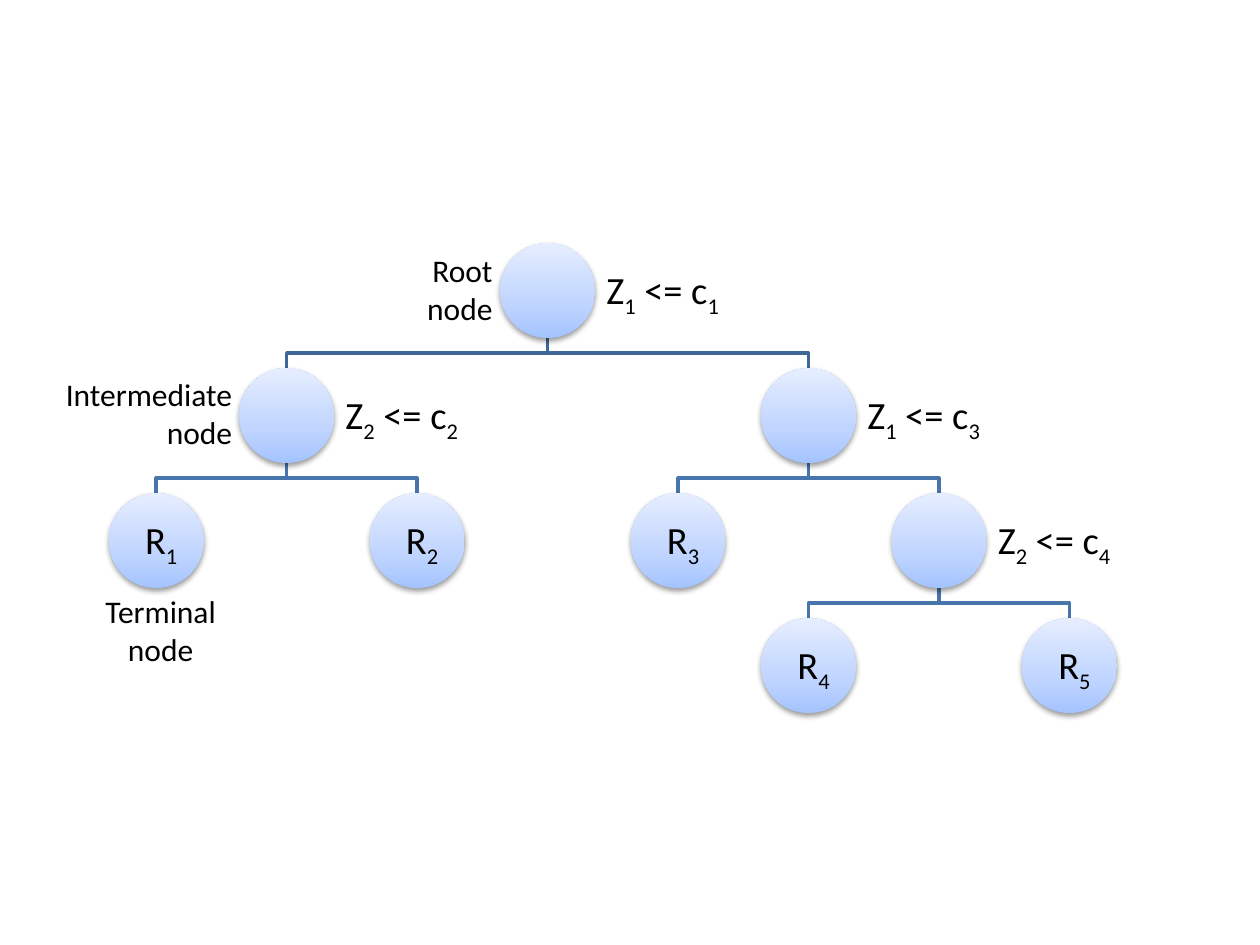
from copy import deepcopy
from dataclasses import dataclass
from itertools import groupby

from lxml.etree import SubElement
from pptx import Presentation
from pptx.dml.color import RGBColor as Rgb
from pptx.enum.shapes import MSO_SHAPE as Kind
from pptx.enum.text import MSO_ANCHOR as Anchor, MSO_AUTO_SIZE as Fit, PP_ALIGN as Align
from pptx.oxml.ns import qn
from pptx.util import Cm, Pt


@dataclass
class Theme:
    font: str = "Calibri"
    ink: str = "000000"
    rule: int = 18
    note: int = 18
    test: int = 22
    top_edge: str = "3F6797"
    edge: str = "4875AC"
    stroke: float = 2
    ball: tuple = ((0, "A4C4FF"), (0.35, "BFD4FF"), (1, "E6EEFF"))


class Board:
    def __init__(self, slide, theme):
        self.slide, self.theme = slide, theme

    def circle(self, x, y, size):
        """Draw a shaded circle around the centre x, y."""
        half = size / 2
        shape = self.slide.shapes.add_shape(
            Kind.OVAL, Cm(x - half), Cm(y - half), Cm(size), Cm(size))
        shape.line.fill.background()
        fill = shape.fill
        fill.gradient()
        fill.gradient_angle = 90
        stops = shape._element.spPr.find(qn("a:gradFill")).find(qn("a:gsLst"))
        stops.append(deepcopy(stops[0]))
        for stop, (place, color) in zip(fill.gradient_stops, self.theme.ball):
            stop.position = place
            stop.color.rgb = Rgb.from_string(color)
        self.shade(shape)

    def shade(self, shape):
        shape.shadow.inherit = False
        holder = shape._element.spPr.find(qn("a:effectLst"))
        cast = SubElement(holder, qn("a:outerShdw"), blurRad="40000",
                          dist="20000", dir="5400000", rotWithShape="0")
        color = SubElement(cast, qn("a:srgbClr"), val="000000")
        SubElement(color, qn("a:alpha"), val="38000")

    def branch(self, start, end, color):
        """Draw a stepped line that turns halfway down."""
        (x1, y1), (x2, y2) = start, end
        mid = (y1 + y2) / 2
        pen = self.slide.shapes.build_freeform(Cm(x1), Cm(y1))
        pen.add_line_segments(
            [(Cm(x), Cm(y)) for x, y in ((x1, mid), (x2, mid), (x2, y2))], close=False)
        shape = pen.convert_to_shape()
        shape.shadow.inherit = False
        shape.fill.background()
        shape.line.color.rgb = Rgb.from_string(color)
        shape.line.width = Pt(self.theme.stroke)

    def text(self, box, lines, size, align, frame, spacing=None, lower=False):
        """Add text; with lower set, digits become subscripts."""
        area = self.slide.shapes.add_textbox(*map(Cm, box)).text_frame
        area.word_wrap = True
        for name, value in frame.items():
            setattr(area, name, value)
        for i, line in enumerate(lines):
            para = area.add_paragraph() if i else area.paragraphs[0]
            para.alignment = align
            if spacing:
                para.line_spacing = spacing
            parts = groupby(line, str.isdigit) if lower else [(False, line)]
            for digit, chars in parts:
                run = para.add_run()
                run.text = "".join(chars)
                look = {"name": self.theme.font, "size": Pt(size)}
                for name, value in look.items():
                    setattr(run.font, name, value)
                run.font.color.rgb = Rgb.from_string(self.theme.ink)
                if digit:
                    run.font._element.set("baseline", "-25000")


# Tree grid: column and row steps between circle centres
SIZE, LEFT, TOP = 1.91, 3.15, 5.86
COL, ROW = 2.63, 2.52

# Each node: column, row, parent, label
NODES = {
    "root": (3, 0, None, "Z1 <= c1"),
    "left": (1, 1, "root", "Z2 <= c2"),
    "r1": (0, 2, "left", "R1"),
    "r2": (2, 2, "left", "R2"),
    "right": (5, 1, "root", "Z1 <= c3"),
    "r3": (4, 2, "right", "R3"),
    "deep": (6, 2, "right", "Z2 <= c4"),
    "r4": (5, 3, "deep", "R4"),
    "r5": (7, 3, "deep", "R5"),
}

# Each note: box, lines, alignment
NOTES = [
    ((7.92, 4.93, 2.26, 1.8), ["Root node"], Align.RIGHT),
    ((0.53, 7.44, 4.4, 1.8), ["Intermediate", "node"], Align.RIGHT),
    ((1.04, 11.81, 4.4, 1.8), ["Terminal", "node"], Align.CENTER),
]


def spot(key):
    col, row = NODES[key][:2]
    return LEFT + col * COL, TOP + row * ROW


deck = Presentation()
deck.slide_width, deck.slide_height = Cm(25.4), Cm(19.05)
theme = Theme()
board = Board(deck.slides.add_slide(deck.slide_layouts[6]), theme)

# Branches
for key, (_, _, parent, _) in NODES.items():
    if parent:
        (x1, y1), (x2, y2) = spot(parent), spot(key)
        color = theme.top_edge if parent == "root" else theme.edge
        board.branch((x1, y1 + SIZE / 2), (x2, y2 - SIZE / 2), color)

# Circles with labels: inside the leaves, beside the others
parents = {node[2] for node in NODES.values()}
for key, (_, _, _, label) in NODES.items():
    x, y = spot(key)
    board.circle(x, y, SIZE)
    inner = key not in parents
    left = x - SIZE / 2 + 0.38 if inner else x + SIZE / 2
    frame = {"vertical_anchor": Anchor.MIDDLE, "margin_left": Cm(0.35 if inner else 0.23)}
    frame |= {f"margin_{side}": Cm(0.23) for side in ("right", "top", "bottom")}
    board.text((left, y - SIZE / 2, 2.87, SIZE), [label], theme.test,
               Align.LEFT, frame, spacing=0.9, lower=True)

# Notes on node types
for box, lines, align in NOTES:
    board.text(box, lines, theme.note, align, {"auto_size": Fit.SHAPE_TO_FIT_TEXT})

deck.save("out.pptx")
